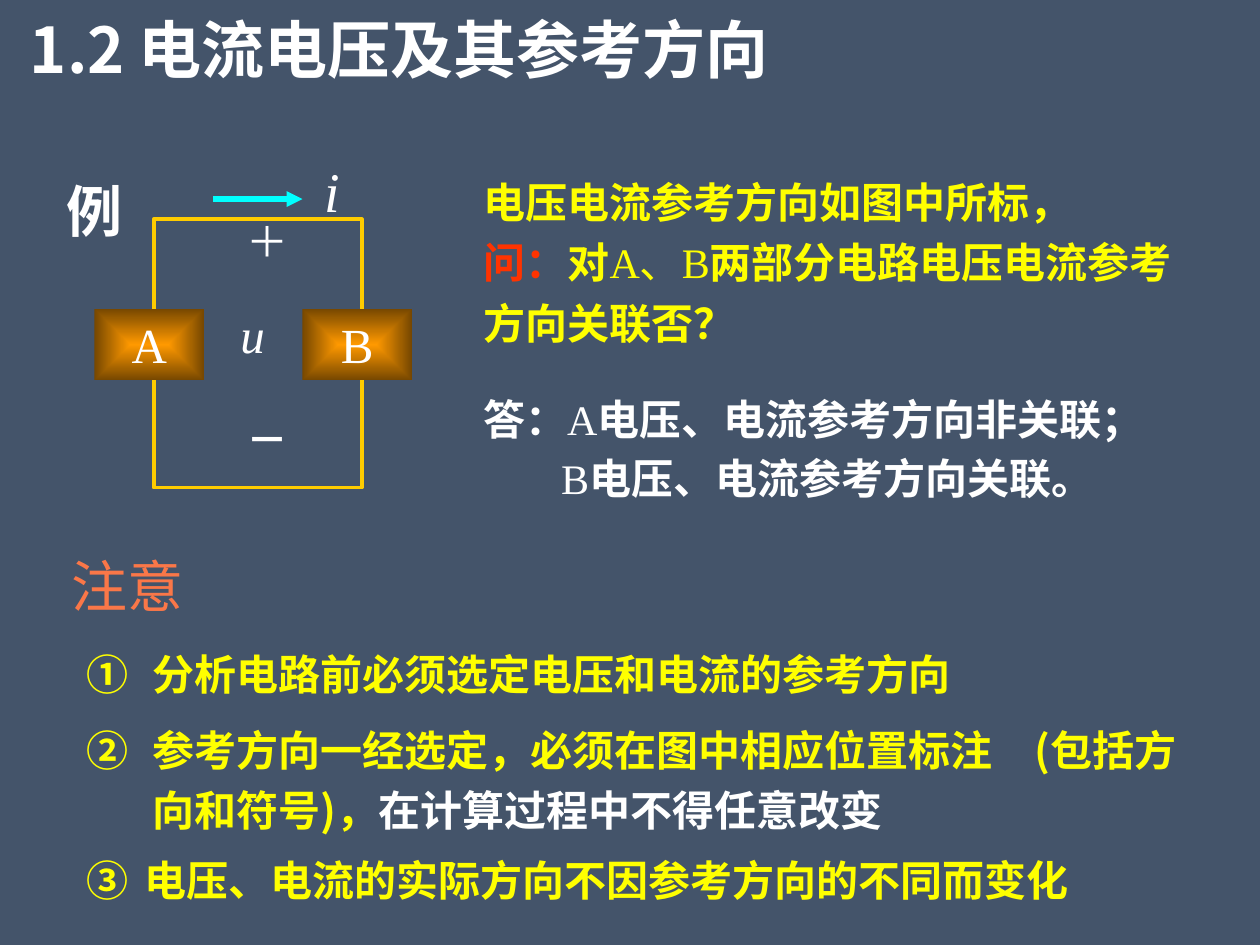
from dataclasses import dataclass

from lxml import etree
from pptx import Presentation
from pptx.dml.color import RGBColor
from pptx.enum.shapes import MSO_CONNECTOR, MSO_SHAPE
from pptx.enum.text import MSO_ANCHOR, PP_ALIGN
from pptx.oxml.ns import qn
from pptx.util import Inches, Pt

LEFT, CENTER = PP_ALIGN.LEFT, PP_ALIGN.CENTER
TOP, MIDDLE = MSO_ANCHOR.TOP, MSO_ANCHOR.MIDDLE
RECT, STRAIGHT = MSO_SHAPE.RECTANGLE, MSO_CONNECTOR.STRAIGHT


@dataclass(frozen=True)
class Theme:
    back: str = "44546A"
    white: str = "FFFFFF"
    yellow: str = "FFFF00"
    red: str = "FF3300"
    coral: str = "FA7748"
    wire: str = "FFCC00"
    arrow: str = "00FFFF"
    glow: str = "FF9900"
    edge: str = "764700"
    sans: str = "Noto Sans CJK SC"
    serif: str = "Times New Roman"
    title: int = 36
    head: int = 32
    symbol: int = 28
    body: int = 24


T = Theme()


def rgb(code):
    return RGBColor.from_string(code)


def style(font, size, color, face=T.sans, bold=False, italic=False):
    font.size, font.name = Pt(size), face
    font.bold, font.italic = bold, italic
    font.color.rgb = rgb(color)
    etree.SubElement(font._rPr, qn("a:ea"), typeface=T.sans)


def frame(shape, anchor=TOP, wrap=True):
    text = shape.text_frame
    text.word_wrap, text.vertical_anchor = wrap, anchor
    return text


def add_box(slide, at, anchor=TOP, wrap=True):
    return frame(slide.shapes.add_textbox(*map(Inches, at)), anchor, wrap)


def add_runs(para, runs, size, color):
    """Write (text, changes) pairs as bold sans, except where changed."""
    style(para.font, size, color, bold=True)
    for words, change in runs:
        run = para.add_run()
        run.text = words
        if "color" in change:
            run.font.color.rgb = rgb(change["color"])
        if "face" in change:
            run.font.name, run.font.bold = change["face"], False


def add_label(slide, at, words, size, color=T.white, align=CENTER,
              wrap=True, **look):
    para = add_box(slide, at, wrap=wrap).paragraphs[0]
    para.text, para.alignment = words, align
    style(para.font, size, color, T.serif, **look)


def add_note(slide, at, num, indent, runs, space):
    para = add_box(slide, at, MIDDLE).paragraphs[0]
    para.line_spacing = space
    props = para._p.get_or_add_pPr()
    props.set("marL", str(Inches(indent)))
    props.set("indent", str(-Inches(indent)))
    etree.SubElement(props, qn("a:buAutoNum"),
                     type="circleNumDbPlain", startAt=str(num))
    add_runs(para, runs, T.body, T.yellow)


def add_block(slide, at, name):
    """Draw a circuit block with a gradient glowing from its centre."""
    block = slide.shapes.add_shape(RECT, *map(Inches, at))
    block.shadow.inherit = False
    block.line.fill.background()
    block.fill.gradient()
    for stop, color, spot in zip(block.fill.gradient_stops,
                                 (T.glow, T.edge), (0, 1)):
        stop.color.rgb, stop.position = rgb(color), spot
    grad = block._element.spPr.find(qn("a:gradFill"))
    grad.remove(grad.find(qn("a:lin")))
    shade = etree.SubElement(grad, qn("a:path"))
    shade.set("path", "shape")
    etree.SubElement(shade, qn("a:fillToRect"),
                     dict.fromkeys("ltrb", "50000"))
    para = frame(block).paragraphs[0]
    para.text, para.alignment = name, CENTER
    style(para.font, T.symbol, T.white, T.serif)


def add_arrow(slide, left, right, y):
    line = slide.shapes.add_connector(
        STRAIGHT, *map(Inches, (left, y, right, y)))
    line.line.color.rgb, line.line.width = rgb(T.arrow), Pt(3)
    etree.SubElement(line.line._get_or_add_ln(), qn("a:tailEnd"),
                     type="triangle")
    etree.SubElement(line._element.spPr, qn("a:effectLst"))


def add_title(slide):
    title = slide.shapes.title
    title.left, title.top, title.width, title.height = map(
        Inches, (0, 0.03, 6.34, 0.71))
    para = frame(title, MIDDLE).paragraphs[0]
    para.text, para.alignment = "1.2 电流电压及其参考方向", CENTER
    style(para.font, T.title, T.white, bold=True)


def add_circuit(slide):
    loop = slide.shapes.add_shape(
        RECT, *map(Inches, (1.22, 1.74, 1.65, 2.13)))
    loop.shadow.inherit = False
    loop.fill.background()
    loop.line.color.rgb, loop.line.width = rgb(T.wire), Pt(2.25)
    for name, left in (("A", 0.75), ("B", 2.4)):
        add_block(slide, (left, 2.45, 0.87, 0.57), name)
    add_arrow(slide, 1.69, 2.4, 1.58)
    add_label(slide, (1.77, 1.66, 0.71, 0.5), "＋", T.body)
    add_label(slide, (1.77, 3.23, 0.71, 0.5), "－", T.body, bold=True)
    add_label(slide, (1.69, 2.37, 0.63, 0.57), "u", T.symbol, italic=True)
    add_label(slide, (2.32, 1.19, 0.63, 0.63), "i", T.head, italic=True)


def add_question(slide):
    text = add_box(slide, (3.74, 1.27, 5.67, 1.51))
    lines = (
        [("电压电流参考方向如图中所标，", {})],
        [("问：", {"color": T.red}), ("对", {}),
         ("A、B", {"face": T.serif}),
         ("两部分电路电压电流参考方向关联否？", {})],
    )
    for para, runs in zip((text.paragraphs[0], text.add_paragraph()), lines):
        para.line_spacing = 1.2
        add_runs(para, runs, T.body, T.yellow)


def add_answer(slide):
    text = add_box(slide, (3.58, 3.07, 5.75, 0.99))
    first, second = text.paragraphs[0], text.add_paragraph()
    second.space_before = Pt(5)
    props = second._p.get_or_add_pPr()
    props.set("marL", str(Inches(0.22)))
    props.set("indent", "0")
    lines = (
        [("答：", {}), ("A", {"face": T.serif}),
         ("电压、电流参考方向非关联；", {})],
        [("B", {"face": T.serif}), ("电压、电流参考方向关联。", {})],
    )
    for para, runs in zip((first, second), lines):
        para.alignment = CENTER
        add_runs(para, runs, T.body, T.white)


def add_notes(slide):
    add_label(slide, (0.47, 4.33, 1.09, 0.63), "注意", T.head, T.coral,
              LEFT, wrap=False)
    add_note(slide, (0.59, 5, 8.98, 0.7), 1, 0.52,
             [("分析电路前必须选定电压和电流的参考方向", {})], 1.0)
    add_note(slide, (0.59, 5.56, 9.17, 1.18), 2, 0.52,
             [("参考方向一经选定，必须在图中相应位置标注　(包括方向和符号)，", {}),
              ("在计算过程中不得任意改变", {"color": T.white})], 1.2)
    add_note(slide, (0.59, 6.67, 8.9, 0.55), 3, 0.46,
             [("电压、电流的实际方向不因参考方向的不同而变化", {})], 1.2)


def main():
    deck = Presentation()
    deck.slide_width, deck.slide_height = Inches(10), Inches(7.5)
    slide = deck.slides.add_slide(deck.slide_layouts[5])
    slide.background.fill.solid()
    slide.background.fill.fore_color.rgb = rgb(T.back)
    add_title(slide)
    add_label(slide, (0.43, 1.35, 0.55, 0.63), "例", T.head, bold=True)
    add_circuit(slide)
    add_question(slide)
    add_answer(slide)
    add_notes(slide)
    deck.save("out.pptx")


if __name__ == "__main__":
    main()
